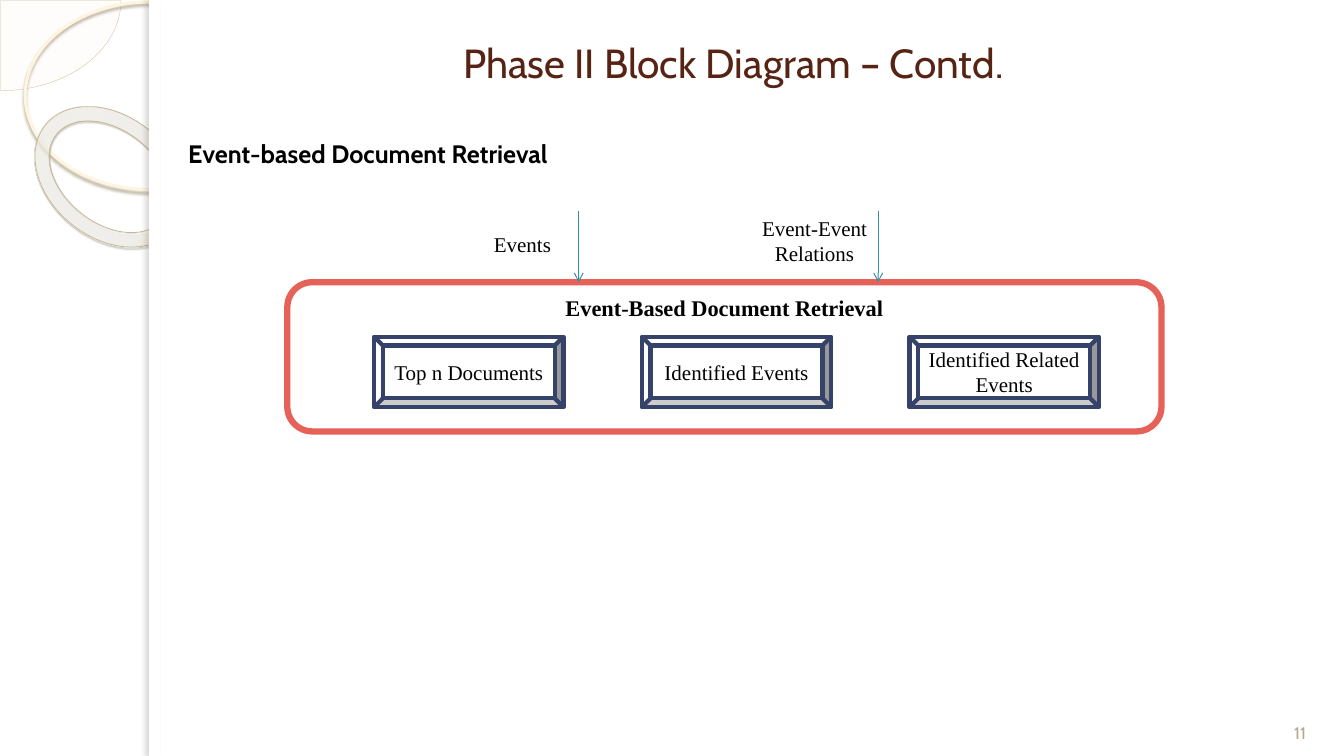
import pptx
import pptx.util
import pptx.dml.color
import pptx.enum.shapes
import pptx.enum.text
import pptx.oxml
import pptx.oxml.ns
from dataclasses import dataclass

Inches = pptx.util.Inches
Pt = pptx.util.Pt
ShapeType = pptx.enum.shapes.MSO_SHAPE
Align = pptx.enum.text.PP_ALIGN
Anchor = pptx.enum.text.MSO_ANCHOR
qn = pptx.oxml.ns.qn
NAMESPACE = pptx.oxml.ns.nsdecls("a")


@dataclass(frozen=True)
class Theme:
    heading_font: str = "Cabin"
    diagram_font: str = "Times New Roman"
    title_size: float = 29
    subtitle_size: float = 18
    frame_size: float = 16
    label_size: float = 15
    number_size: float = 12
    white: str = "FFFFFF"
    black: str = "000000"
    title: str = "572314"
    number: str = "B6A98A"
    frame: str = "E66258"
    block: str = "35436A"
    arrow: str = "3891A7"
    pie_fill: str = "FEFAF4"
    pie_line: str = "D3C39F"
    ring: str = "FFF5DE"
    ring_shadow: str = "B0A68F"
    donut_line: str = "C7B893"
    donut_shadow: str = "5A5444"
    donut_stops: tuple = ((0, "FFFCF6", 70), (70, "FFFEFB", 55), (100, "F0D28E", 60))
    edge_shadow: str = "736F63"


def rgb(color):
    return pptx.dml.color.RGBColor.from_string(color)


def color_xml(color, alpha):
    return f'<a:srgbClr val="{color}"><a:alpha val="{alpha * 1000}"/></a:srgbClr>'


def write_text(frame, text, font, size, color=Theme.black, bold=False,
               align=Align.CENTER, anchor=Anchor.TOP):
    frame.word_wrap = True
    frame.vertical_anchor = anchor
    paragraph = frame.paragraphs[0]
    paragraph.alignment = align
    run = paragraph.add_run()
    run.text = text
    run.font.name = font
    run.font.size = Pt(size)
    run.font.bold = bold
    run.font.color.rgb = rgb(color)


class SlideBuilder:
    def __init__(self, slide, theme):
        self.slide = slide
        self.theme = theme

    def shape(self, kind, left, top, width, height, fill=None, alpha=None,
              line=None, line_width=1, shadow=None):
        shape = self.slide.shapes.add_shape(
            kind, Inches(left), Inches(top), Inches(width), Inches(height))
        shape.shadow.inherit = False
        if fill:
            shape.fill.solid()
            shape.fill.fore_color.rgb = rgb(fill)
        else:
            shape.fill.background()
        if line:
            shape.line.color.rgb = rgb(line)
            shape.line.width = Pt(line_width)
        else:
            shape.line.fill.background()
        properties = shape.element.spPr
        if alpha:
            solid = properties.find(qn("a:solidFill"))
            solid.replace(solid[0], pptx.oxml.parse_xml(
                color_xml(fill, alpha).replace("<a:srgbClr", f"<a:srgbClr {NAMESPACE}", 1)))
        if shadow:
            color, opacity, blur, distance, angle = shadow
            properties.find(qn("a:effectLst")).append(pptx.oxml.parse_xml(
                f'<a:outerShdw {NAMESPACE} blurRad="{Pt(blur)}" dist="{Pt(distance)}" '
                f'dir="{angle * 60000}" algn="tl" rotWithShape="0">'
                f'{color_xml(color, opacity)}</a:outerShdw>'))
        return shape

    def donut(self, left, top, width, height):
        theme = self.theme
        donut = self.shape(ShapeType.DONUT, left, top, width, height, fill=theme.white,
                           line=theme.donut_line, line_width=0.58,
                           shadow=(theme.donut_shadow, 35, 1, 1.2, 75))
        donut.adjustments[0] = 0.12
        donut.rotation = 38.6
        stops = "".join(f'<a:gs pos="{position * 1000}">{color_xml(color, alpha)}</a:gs>'
                        for position, color, alpha in theme.donut_stops)
        gradient = pptx.oxml.parse_xml(
            f'<a:gradFill {NAMESPACE} rotWithShape="1"><a:gsLst>{stops}</a:gsLst>'
            '<a:path path="circle"><a:fillToRect l="-408000" t="-50000" '
            'r="508000" b="150000"/></a:path></a:gradFill>')
        properties = donut.element.spPr
        properties.replace(properties.find(qn("a:solidFill")), gradient)

    def text(self, text, left, top, width, height, **style):
        box = self.slide.shapes.add_textbox(
            Inches(left), Inches(top), Inches(width), Inches(height))
        write_text(box.text_frame, text, **style)

    def block(self, text, left, top, width, height):
        block = self.shape(ShapeType.BEVEL, left, top, width, height,
                           fill=self.theme.white, line=self.theme.block, line_width=3)
        block.text_frame.margin_left = block.text_frame.margin_right = Inches(0.05)
        write_text(block.text_frame, text, self.theme.diagram_font,
                   self.theme.label_size, anchor=Anchor.MIDDLE)

    def arrow(self, x, top, bottom):
        connector = self.slide.shapes.add_connector(
            pptx.enum.shapes.MSO_CONNECTOR.STRAIGHT,
            Inches(x), Inches(top), Inches(x), Inches(bottom))
        connector.line.color.rgb = rgb(self.theme.arrow)
        connector.line.width = Pt(0.75)
        connector.line._get_or_add_ln().append(
            pptx.oxml.parse_xml(f'<a:tailEnd {NAMESPACE} type="arrow"/>'))
        connector.element.spPr.append(pptx.oxml.parse_xml(f'<a:effectLst {NAMESPACE}/>'))

    def background(self):
        theme = self.theme
        pie = self.shape(ShapeType.PIE, -1.19, -0.89, 2.39, 1.79, fill=theme.pie_fill,
                         alpha=33, line=theme.pie_line, line_width=0.25)
        pie.adjustments[0] = 0
        pie.adjustments[1] = 54
        self.shape(ShapeType.OVAL, 0.25, 0.02, 2.48, 1.86, line=theme.ring,
                   line_width=2.15, shadow=(theme.ring_shadow, 85, 2, 2, 90))
        self.donut(0.27, 1.15, 1.64, 1.21)
        self.shape(ShapeType.RECTANGLE, 1.48, 0, 11.85, 7.5, fill=theme.white)
        self.shape(ShapeType.RECTANGLE, 1.48, 0, 0.11, 7.5, fill=theme.white,
                   shadow=(theme.edge_shadow, 25, 3, 3, 180))


def main():
    presentation = pptx.Presentation()
    presentation.slide_width = Inches(13.33)
    presentation.slide_height = Inches(7.5)
    theme = Theme()
    builder = SlideBuilder(presentation.slides.add_slide(presentation.slide_layouts[6]), theme)
    builder.background()

    builder.text("Phase II Block Diagram – Contd.", 4.44, 0.33, 5.67, 0.59,
                 font=theme.heading_font, size=theme.title_size, color=theme.title)
    builder.text("Event-based Document Retrieval", 1.12, 1.32, 5.06, 0.4,
                 font=theme.heading_font, size=theme.subtitle_size, bold=True)
    builder.text("11", 12.56, 6.9, 0.67, 0.52, font=theme.heading_font,
                 size=theme.number_size, color=theme.number, anchor=Anchor.BOTTOM)

    frame_top = 2.8
    frame = builder.shape(ShapeType.ROUNDED_RECTANGLE, 2.85, frame_top, 8.67, 1.48,
                          fill=theme.white, line=theme.frame, line_width=4.5)
    write_text(frame.text_frame, "Event-Based Document Retrieval",
               theme.diagram_font, theme.frame_size, bold=True)
    blocks = ("Top n Documents", "Identified Events", "Identified Related Events")
    for index, name in enumerate(blocks):
        builder.block(name, 3.71 + index * 2.655, 3.34, 1.88, 0.7)

    for x in (5.74, 8.71):
        builder.arrow(x, 2.09, frame_top)
    label = {"font": theme.diagram_font, "size": theme.label_size}
    builder.text("Events", 4.8, 2.25, 1.17, 0.35, align=Align.LEFT, **label)
    builder.text("Event-Event Relations", 7.3, 2.09, 1.56, 0.61, **label)
    presentation.save("out.pptx")


if __name__ == "__main__":
    main()
